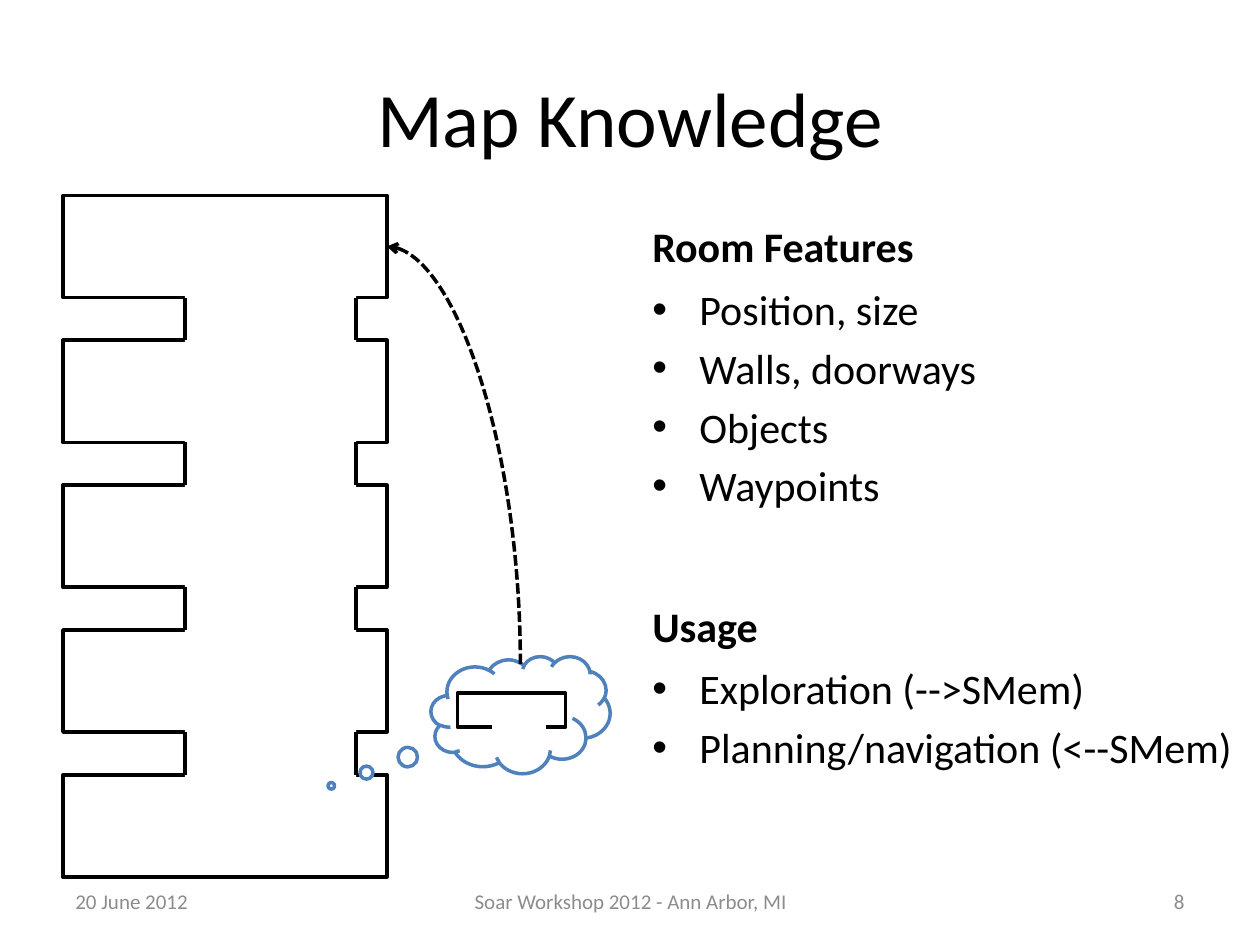
from dataclasses import dataclass

from lxml.etree import SubElement
from pptx import Presentation
from pptx.dml.color import RGBColor
from pptx.enum.dml import MSO_LINE
from pptx.enum.shapes import MSO_CONNECTOR, MSO_SHAPE
from pptx.enum.text import MSO_ANCHOR, PP_ALIGN
from pptx.oxml.ns import qn
from pptx.util import Cm, Pt


@dataclass(frozen=True)
class Theme:
    font: str = "Calibri"
    ink: RGBColor = RGBColor(0, 0, 0)
    paper: RGBColor = RGBColor(0xFF, 0xFF, 0xFF)
    muted: RGBColor = RGBColor(0x8C, 0x8C, 0x8C)
    accent: RGBColor = RGBColor(0x4F, 0x81, 0xBD)
    title: int = 44
    body: int = 24
    footer: int = 12
    wall: float = 2
    opening: float = 4.5


THEME = Theme()

# Floor plan measures, in cm
ROOM_LEFT, ROOM_TOP, ROOM_WIDTH, ROOM_HEIGHT = 1.27, 3.94, 6.53, 2.06
ROOM_PITCH, ROOM_COUNT = 2.92, 5
HALL_LEFT, HALL_TOP, HALL_WIDTH, HALL_HEIGHT = 3.73, 5.59, 3.45, 10.36


def format_paragraph(paragraph, size, color=THEME.ink, bold=False, align=PP_ALIGN.LEFT):
    paragraph.alignment = align
    font = paragraph.font
    font.name, font.size, font.bold = THEME.font, Pt(size), bold
    font.color.rgb = color


def add_bullet(paragraph):
    properties = paragraph._p.get_or_add_pPr()
    properties.set("marL", str(Cm(0.95)))
    properties.set("indent", str(-Cm(0.95)))
    SubElement(properties, qn("a:buFont"), typeface="Arial")
    SubElement(properties, qn("a:buChar"), char="•")


def add_text(slide, box, lines, size, color=THEME.ink, bold=False,
             align=PP_ALIGN.LEFT, anchor=MSO_ANCHOR.MIDDLE, bulleted=False):
    frame = slide.shapes.add_textbox(*map(Cm, box)).text_frame
    frame.word_wrap = True
    frame.vertical_anchor = anchor
    frame.text = "\n".join(lines)
    for index, paragraph in enumerate(frame.paragraphs):
        if index:
            paragraph.space_before = Pt(size * 0.2)
        if bulleted:
            add_bullet(paragraph)
        format_paragraph(paragraph, size, color, bold, align)


def add_section(slide, top, heading, items, width, height):
    left, heading_height = 12.9, 1.78
    add_text(slide, (left, top, 11.23, heading_height), [heading], THEME.body,
             bold=True, anchor=MSO_ANCHOR.BOTTOM)
    add_text(slide, (left, top + heading_height, width, height), items, THEME.body,
             anchor=MSO_ANCHOR.TOP, bulleted=True)


def add_block(shapes, box, preset=MSO_SHAPE.RECTANGLE, fill=None, line=None):
    block = shapes.add_shape(preset, *map(Cm, box))
    block.shadow.inherit = False
    if fill is None:
        block.fill.background()
    else:
        block.fill.solid()
        block.fill.fore_color.rgb = fill
    if line is None:
        block.line.fill.background()
    else:
        block.line.color.rgb = line
        block.line.width = Pt(THEME.wall)
    return block


def add_line(shapes, start, end, color=THEME.ink, width=THEME.wall,
             kind=MSO_CONNECTOR.STRAIGHT):
    line = shapes.add_connector(kind, *map(Cm, (*start, *end)))
    line.line.color.rgb = color
    line.line.width = Pt(width)
    SubElement(line._element.spPr, qn("a:effectLst"))
    return line


def add_recall_arrow(shapes, start, end):
    """Dashed quarter curve that leaves start upwards and reaches end leftwards."""
    center_x, center_y = (start[0] + end[0]) / 2, (start[1] + end[1]) / 2
    half_width, half_height = (start[1] - end[1]) / 2, (start[0] - end[0]) / 2
    # The unrotated frame lies on its side and is turned by 270 degrees
    arrow = add_line(shapes,
                     (center_x - half_width, center_y + half_height),
                     (center_x + half_width, center_y - half_height),
                     kind=MSO_CONNECTOR.CURVE)
    arrow.line.dash_style = MSO_LINE.SQUARE_DOT
    properties = arrow._element.spPr
    properties.find(qn("a:xfrm")).set("rot", str(270 * 60000))
    properties.find(qn("a:prstGeom")).set("prst", "curvedConnector2")
    SubElement(properties.find(qn("a:ln")), qn("a:tailEnd"), type="arrow")


def add_floor_plan(shapes):
    room_tops = [ROOM_TOP + i * ROOM_PITCH for i in range(ROOM_COUNT)]
    for top in room_tops:
        add_block(shapes, (ROOM_LEFT, top, ROOM_WIDTH, ROOM_HEIGHT), line=THEME.ink)
    # The hall opens the rooms to each other
    add_block(shapes, (HALL_LEFT, HALL_TOP, HALL_WIDTH, HALL_HEIGHT), fill=THEME.paper)
    for x in (HALL_LEFT, HALL_LEFT + HALL_WIDTH):
        for upper, lower in zip(room_tops, room_tops[1:]):
            add_line(shapes, (x, upper + ROOM_HEIGHT), (x, lower))
    # North wall
    add_line(shapes, (ROOM_LEFT, ROOM_TOP), (ROOM_LEFT + ROOM_WIDTH, ROOM_TOP))


def add_remembered_room(shapes):
    cloud = add_block(shapes, (8.69, 13.23, 3.61, 2.36), MSO_SHAPE.CLOUD_CALLOUT,
                      THEME.paper, THEME.accent)
    cloud.adjustments[0], cloud.adjustments[1] = -1.057, 0.607
    add_recall_arrow(shapes, (10.49, 13.39),
                     (ROOM_LEFT + ROOM_WIDTH, ROOM_TOP + ROOM_HEIGHT / 2))
    # Small room with a doorway in its lower wall
    room = shapes.add_group_shape().shapes
    add_block(room, (9.22, 13.97, 2.18, 0.69), line=THEME.ink)
    add_line(room, (9.91, 14.66), (11, 14.66), THEME.paper, THEME.opening)


def add_footer(slide):
    for left, width, text, align in (
        (1.27, 5.92, "20 June 2012", PP_ALIGN.LEFT),
        (8.69, 8.05, "Soar Workshop 2012 - Ann Arbor, MI", PP_ALIGN.CENTER),
        (18.21, 5.92, "8", PP_ALIGN.RIGHT),
    ):
        add_text(slide, (left, 17.65, width, 1.02), [text], THEME.footer,
                 THEME.muted, align=align)


def main():
    deck = Presentation()
    deck.slide_width, deck.slide_height = Cm(25.4), Cm(19.05)
    slide = deck.slides.add_slide(deck.slide_layouts[5])

    # Title
    title = slide.shapes.title
    title.left, title.top, title.width, title.height = map(Cm, (1.27, 0.76, 22.86, 3.18))
    title.text_frame.text = "Map Knowledge"
    title.text_frame.vertical_anchor = MSO_ANCHOR.MIDDLE
    format_paragraph(title.text_frame.paragraphs[0], THEME.title, align=PP_ALIGN.CENTER)

    # Map and the room recalled from it
    add_floor_plan(slide.shapes)
    add_remembered_room(slide.shapes)

    # Lists
    add_section(slide, 3.81, "Room Features",
                ["Position, size", "Walls, doorways", "Objects", "Waypoints"], 11.23, 5.87)
    add_section(slide, 11.46, "Usage",
                ["Exploration (-->SMem)", "Planning/navigation (<--SMem)"], 12.5, 3.45)

    add_footer(slide)
    deck.save("out.pptx")


if __name__ == "__main__":
    main()
